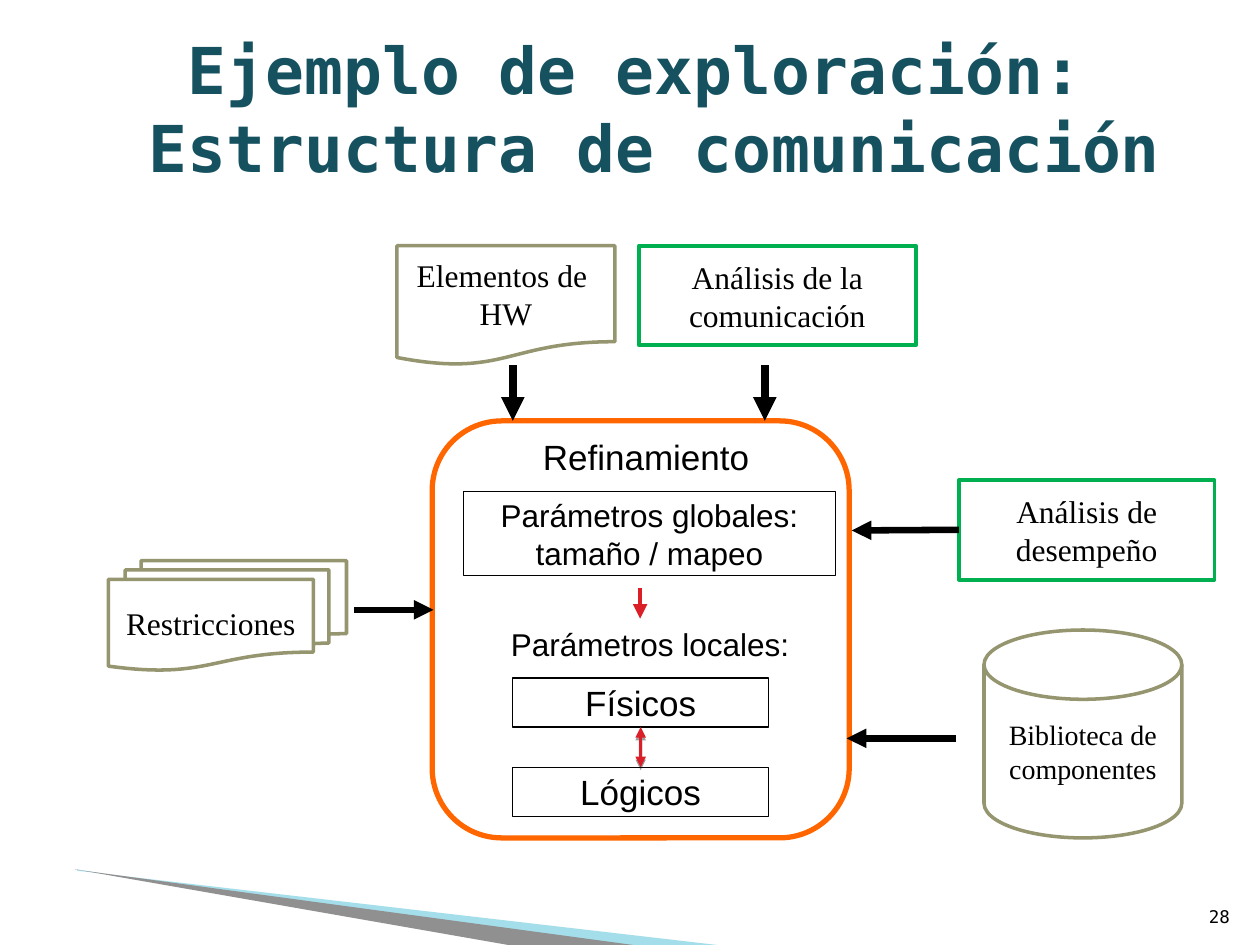
from dataclasses import dataclass

from lxml.etree import SubElement
from pptx import Presentation
from pptx.dml.color import RGBColor
from pptx.enum.shapes import MSO_CONNECTOR, MSO_SHAPE
from pptx.enum.text import MSO_ANCHOR, PP_ALIGN
from pptx.oxml.ns import qn
from pptx.util import Inches, Pt


@dataclass(frozen=True)
class Theme:
    black: str = "000000"
    teal: str = "165160"
    olive: str = "95956F"
    green: str = "00B050"
    orange: str = "FF6600"
    red: str = "DA1F28"
    cyan: str = "1FAECD"
    gray: str = "909090"
    mono: str = "DejaVu Sans Mono"
    serif: str = "Times New Roman"
    sans: str = "Arial"
    head: float = 36.9
    big: int = 20
    body: int = 18
    small: int = 16
    foot: int = 10


T = Theme()


def rgb(code):
    return RGBColor.from_string(code)


def place(box):
    return [Inches(v) for v in box]


def add(parent, tag, **attrs):
    return SubElement(parent, qn(tag), attrs)


def apply(target, values):
    for name, value in values.items():
        setattr(target, name, value)


def write(shape, text, size, face, color=T.black, bold=False,
          align=PP_ALIGN.CENTER, anchor=MSO_ANCHOR.MIDDLE, wrap=True):
    """Fill a text frame; each newline starts a paragraph, \\v breaks a line."""
    frame = shape.text_frame
    apply(frame, {"text": text, "word_wrap": wrap, "vertical_anchor": anchor})
    for par in frame.paragraphs:
        par.alignment = align
        for run in par.runs:
            apply(run.font, {"name": face, "size": Pt(size), "bold": bold})
            run.font.color.rgb = rgb(color)


def label(slide, box, *text, **style):
    write(slide.shapes.add_textbox(*place(box)), *text, **style)


def block(slide, kind, box, color, width, *text):
    """Add an outlined preset shape, with text if given."""
    shape = slide.shapes.add_shape(kind, *place(box))
    shape.shadow.inherit = False
    shape.fill.background()
    shape.line.color.rgb = rgb(color)
    shape.line.width = Pt(width)
    if text:
        write(shape, *text)
    return shape


def wedge(slide, points, color, alpha=None):
    """Add a filled corner sliver."""
    first, *rest = [place(p) for p in points]
    form = slide.shapes.build_freeform(*first)
    form.add_line_segments(rest)
    shape = form.convert_to_shape()
    shape.shadow.inherit = False
    shape.line.fill.background()
    shape.fill.solid()
    shape.fill.fore_color.rgb = rgb(color)
    if alpha:
        tint = shape.fill._xPr.find(qn("a:solidFill"))[0]
        add(tint, "a:alpha", val=str(alpha * 1000))


def arrow(slide, start, end, color, width, both=False, shade=False):
    """Add a straight arrow that points at its end."""
    link = slide.shapes.add_connector(
        MSO_CONNECTOR.STRAIGHT, *place(start), *place(end))
    link.line.color.rgb = rgb(color)
    link.line.width = Pt(width)
    line = link.line._get_or_add_ln()
    if both:
        add(line, "a:headEnd", type="triangle")
    add(line, "a:tailEnd", type="triangle")
    effects = add(link._element.spPr, "a:effectLst")
    if shade:
        cast = add(effects, "a:outerShdw", blurRad="0",
                   dist=str(Pt(1.6)), dir="5400000", rotWithShape="0")
        tone = add(cast, "a:srgbClr", val=T.black)
        add(tone, "a:alpha", val="38000")
    return link


def frame(slide):
    """Corner art, page number and title."""
    wedge(slide, [(0.61, 6.91), (5.78, 7.51), (4.45, 7.51), (0.61, 6.9)],
          T.cyan, 40)
    wedge(slide, [(0.59, 6.9), (5.1, 7.51), (4.15, 7.52), (0.6, 6.9)], T.gray)
    label(slide, (9.46, 7.01, 0.4, 0.4), "28", T.foot, T.mono,
          align=PP_ALIGN.RIGHT, anchor=MSO_ANCHOR.BOTTOM)
    label(slide, (0.7, 0.23, 9, 1.25),
          "Ejemplo de exploración: \vEstructura de comunicación",
          T.head, T.mono, color=T.teal, bold=True)


def inputs(slide):
    """Sources around the core, with their arrows."""
    for kind, box, text, size in (
            (MSO_SHAPE.FLOWCHART_DOCUMENT, (3.15, 1.95, 1.73, 0.95),
             "Elementos de \nHW", T.body),
            (MSO_SHAPE.FLOWCHART_MAGNETIC_DISK, (7.81, 5, 1.57, 1.65),
             "Biblioteca de componentes", T.small),
            (MSO_SHAPE.FLOWCHART_MULTIDOCUMENT, (0.86, 4.45, 1.89, 0.87),
             "Restricciones", T.body)):
        block(slide, kind, box, T.olive, 2, text, size, T.serif)

    for box, text in (((5.07, 1.95, 2.2, 0.79), "Análisis de la comunicación"),
                      ((7.61, 3.81, 2.03, 0.79), "Análisis de desempeño")):
        study = block(slide, MSO_SHAPE.RECTANGLE, box, T.green, 2.25,
                      text, T.body, T.serif)

    for x in (4.07, 6.07):
        arrow(slide, (x, 2.9), (x, 3.34), T.black, 4.5)
    arrow(slide, (2.81, 4.84), (3.44, 4.84), T.black, 3.75)
    arrow(slide, (7.59, 5.86), (6.72, 5.86), T.black, 3.75)
    link = arrow(slide, (7.61, 4.21), (6.76, 4.21), T.black, 3.75)
    link.begin_connect(study, 1)


def core(slide):
    """Refinement steps inside the rounded frame."""
    block(slide, MSO_SHAPE.ROUNDED_RECTANGLE, (3.43, 3.34, 3.31, 3.31),
          T.orange, 3)
    label(slide, (4.21, 3.41, 1.86, 0.44), "Refinamiento", T.big, T.sans,
          align=PP_ALIGN.LEFT, anchor=MSO_ANCHOR.TOP, wrap=False)
    block(slide, MSO_SHAPE.RECTANGLE, (3.68, 3.9, 2.95, 0.67), T.black, 0.75,
          "Parámetros globales:\ntamaño / mapeo", T.body, T.sans)
    arrow(slide, (5.08, 4.67), (5.08, 4.91), T.red, 2.75)
    label(slide, (3.91, 4.91, 2.5, 0.4), "Parámetros locales:", T.body, T.sans,
          anchor=MSO_ANCHOR.TOP)

    upper, lower = [
        block(slide, MSO_SHAPE.RECTANGLE, (4.07, y, 2.03, 0.39), T.black, 0.75,
              text, T.big, T.sans)
        for y, text in ((5.38, "Físicos"), (6.09, "Lógicos"))]
    link = arrow(slide, (5.09, 5.77), (5.09, 6.09), T.red, 2,
                 both=True, shade=True)
    link.begin_connect(upper, 2)
    link.end_connect(lower, 0)


def main():
    deck = Presentation()
    apply(deck, {"slide_width": Inches(10), "slide_height": Inches(7.5)})
    slide = deck.slides.add_slide(deck.slide_layouts[6])
    frame(slide)
    core(slide)
    inputs(slide)
    deck.save("out.pptx")


if __name__ == "__main__":
    main()
